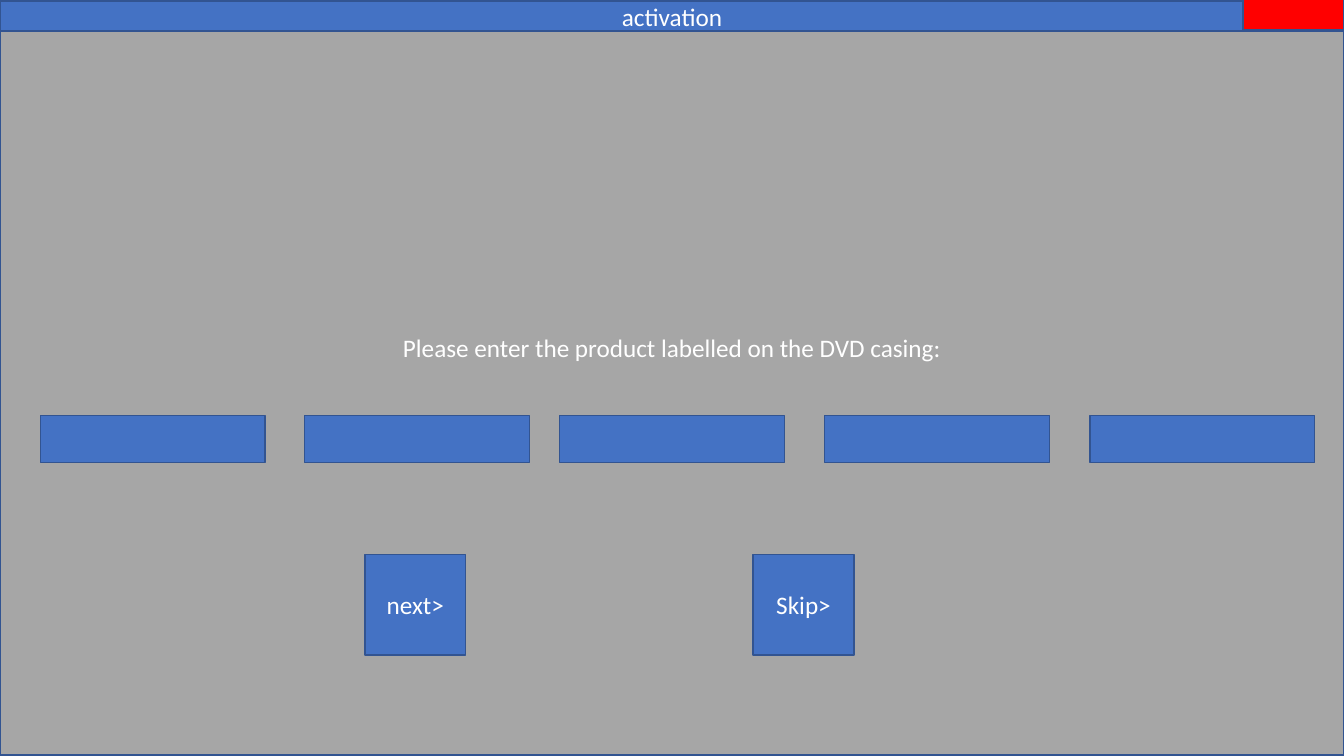
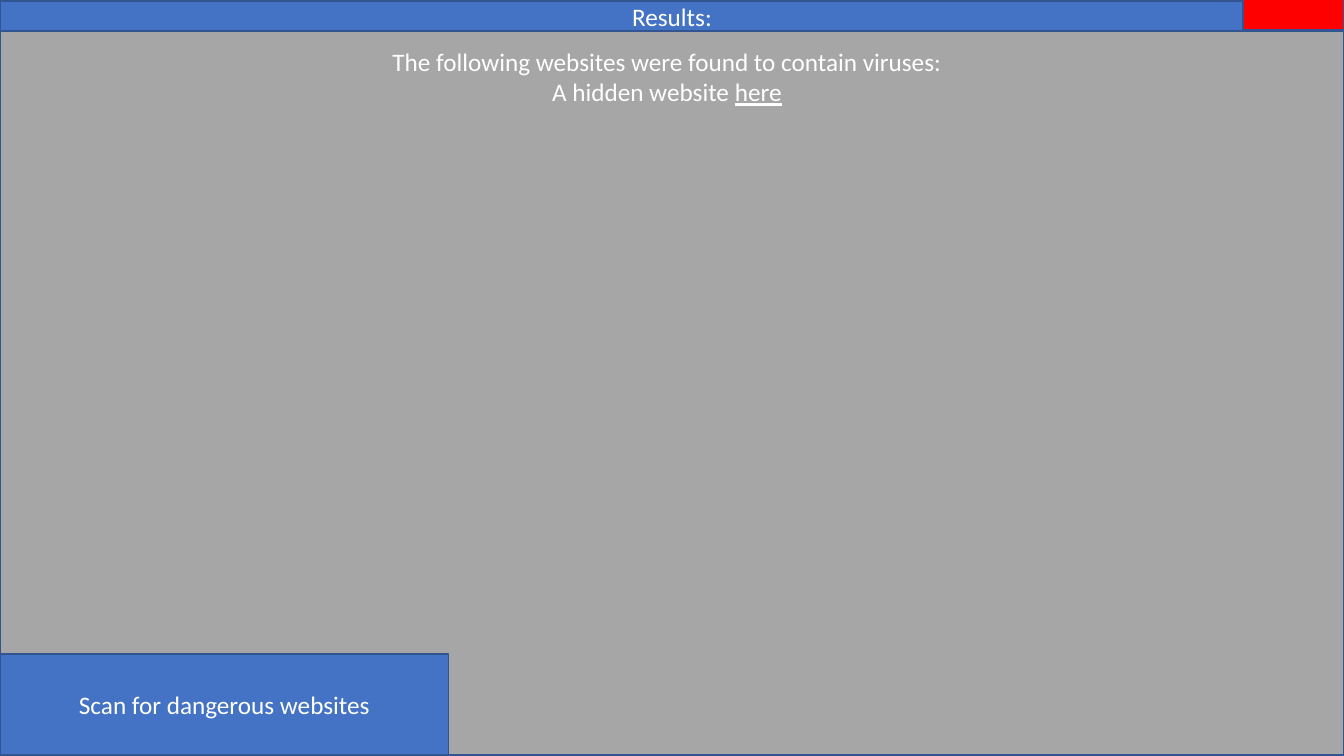
"""Build two wireframe screens: product activation and website scan results."""
from pptx import Presentation
from pptx.dml.color import RGBColor
from pptx.enum import shapes, text
from pptx.util import Inches, Pt

BLUE = RGBColor(0x44, 0x72, 0xC4)
EDGE = RGBColor(0x32, 0x54, 0x91)
GREY = RGBColor(0xA6, 0xA6, 0xA6)
RED = RGBColor(0xFF, 0x00, 0x00)
WHITE = RGBColor(0xFF, 0xFF, 0xFF)


def style(box, fill, wording=""):
    """Give a box its fill, outline and centred white text."""
    if fill is not None:
        box.fill.solid()
        box.fill.fore_color.rgb = fill
        box.line.color.rgb = EDGE
        box.line.width = Pt(1)
    frame = box.text_frame
    frame.word_wrap = True
    frame.auto_size = text.MSO_AUTO_SIZE.NONE
    frame.vertical_anchor = text.MSO_ANCHOR.MIDDLE
    if wording:
        frame.text = wording
    for para in frame.paragraphs:
        para.alignment = text.PP_ALIGN.CENTER
        for span in para.runs:
            span.font.name = "Calibri"
            span.font.size = Pt(18)
            span.font.color.rgb = WHITE


def add_box(page, left, top, width, height, fill, wording=""):
    """Add a styled rectangle, measured in inches."""
    box = page.shapes.add_shape(
        shapes.MSO_SHAPE.RECTANGLE,
        Inches(left), Inches(top), Inches(width), Inches(height))
    box.shadow.inherit = False
    style(box, fill, wording)
    return box


deck = Presentation()
deck.slide_width = Inches(13.33)
deck.slide_height = Inches(7.5)

pages = []
panels = []
for heading in ("activation", "Results:"):
    page = deck.slides.add_slide(deck.slide_layouts[5])
    title = page.shapes.title
    title.left, title.top = Inches(0), Inches(0.01)
    title.width, title.height = Inches(13.33), Inches(0.3)
    style(title, BLUE, heading)
    panels.append(add_box(page, 0, 0.31, 13.33, 7.18, GREY))
    add_box(page, 12.33, -0.03, 1, 0.33, RED)
    pages.append(page)
activation, results = pages

prompt = panels[0]
style(prompt, GREY, "Please enter the product labelled on the DVD casing:")
prompt.text_frame.margin_bottom = Inches(0.95)
for left in (0.4, 3.02, 5.55, 8.18, 10.81):
    add_box(activation, left, 4.12, 2.23, 0.47, BLUE)
for left, label in ((3.62, "next>"), (7.47, "Skip>")):
    add_box(activation, left, 5.5, 1, 1, BLUE, label)

add_box(results, 0, 6.49, 4.45, 1, BLUE, "Scan for dangerous websites")
findings = results.shapes.add_textbox(
    Inches(0), Inches(0.41), Inches(13.23), Inches(0.71))
findings.text_frame.text = "The following websites were found to contain viruses:"
site = findings.text_frame.add_paragraph()
site.text = "A hidden website "
here = site.add_run()
here.text = "here"
here.font.underline = True
style(findings, None)
findings.text_frame.vertical_anchor = text.MSO_ANCHOR.TOP

deck.save("out.pptx")
